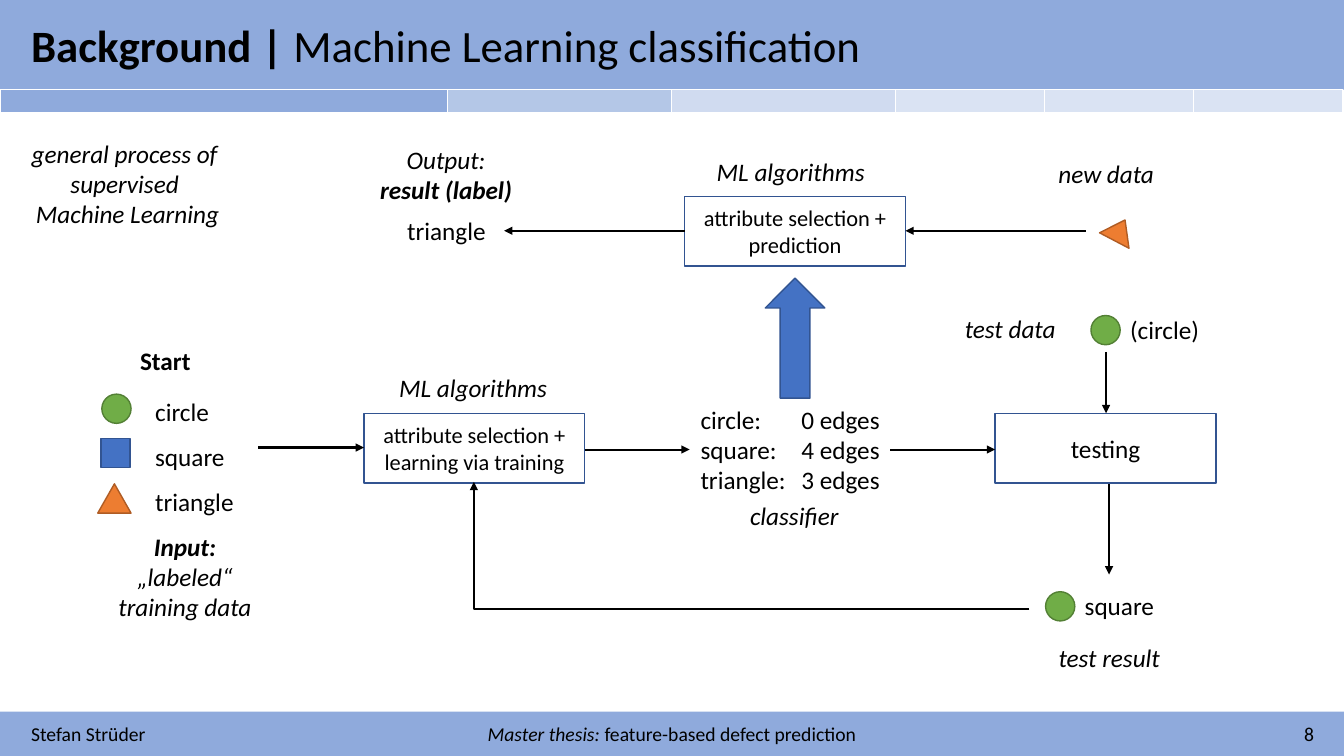
from lxml import etree
from pptx import Presentation
from pptx import util as u
from pptx.dml.color import RGBColor
from pptx.enum import shapes, text
from pptx.oxml.ns import qn

COLORS = {
    "black": "000000", "bar": "8FAADC", "mid": "B4C7E7", "light": "D0DBF0",
    "pale": "DAE3F3", "blue": "4472C4", "navy": "325491", "green": "70AD47",
    "moss": "538035", "orange": "ED7D31", "rust": "AF5C24",
}
FONT = "Calibri"
KIND = shapes.MSO_SHAPE
LEFT, MID, RIGHT = text.PP_ALIGN.LEFT, text.PP_ALIGN.CENTER, text.PP_ALIGN.RIGHT


def color(name):
    return RGBColor.from_string(COLORS[name])


def inches(*nums):
    return [u.Inches(n) for n in nums]


def style(run, size, bold=False, italic=False):
    font = run.font
    font.name, font.size = FONT, u.Pt(size)
    font.bold, font.italic = bold, italic
    font.color.rgb = color("black")


def label(slide, place, lines, size=18, align=LEFT, wrap=False, space=None):
    """Each line is a list of runs: (words, marks), marks being "b", "i" or both."""
    box = slide.shapes.add_textbox(*inches(*place))
    frame = box.text_frame
    frame.word_wrap = wrap
    frame.auto_size = text.MSO_AUTO_SIZE.SHAPE_TO_FIT_TEXT
    if wrap:
        frame.vertical_anchor = text.MSO_ANCHOR.MIDDLE
    for i, line in enumerate(lines):
        para = frame.paragraphs[0] if i == 0 else frame.add_paragraph()
        para.alignment = align
        if space:
            para.line_spacing = space
        for words, marks in line:
            run = para.add_run()
            run.text = words
            style(run, size, "b" in marks, "i" in marks)


def shape(slide, kind, place, fill=None, line=None, turn=0):
    item = slide.shapes.add_shape(kind, *inches(*place))
    item.shadow.inherit = False
    item.rotation = turn
    if fill:
        item.fill.solid()
        item.fill.fore_color.rgb = color(fill)
    else:
        item.fill.background()
    if line:
        item.line.color.rgb = color(line)
        item.line.width = u.Pt(1)
    else:
        item.line.fill.background()
    return item


def step(slide, left, top, words, size=16):
    box = shape(slide, KIND.RECTANGLE, (left, top, 2.19, 0.69), line="navy")
    frame = box.text_frame
    frame.word_wrap = True
    frame.vertical_anchor = text.MSO_ANCHOR.MIDDLE
    frame.text = words
    para = frame.paragraphs[0]
    para.alignment = MID
    style(para.runs[0], size)


def dot(slide, left, top):
    shape(slide, KIND.OVAL, (left, top, 0.29, 0.29), "green", "moss")


def arrow(slide, ends):
    link = slide.shapes.add_connector(shapes.MSO_CONNECTOR.STRAIGHT, *inches(*ends))
    link.line.color.rgb = color("black")
    link.line.width = u.Pt(1.5)
    etree.SubElement(link.line._get_or_add_ln(), qn("a:tailEnd"), type="triangle")
    etree.SubElement(link._element.spPr, qn("a:effectLst"))
    return link


def bend(slide, ends):
    """Arrow with one corner, running from bottom right to top left."""
    props = arrow(slide, ends)._element.spPr
    props.find(qn("a:prstGeom")).set("prst", "bentConnector2")
    props.find(qn("a:xfrm")).set("rot", "10800000")


def strip(slide):
    fills = ["bar", "mid", "light", "pale", "pale", "pale"]
    widths = [4.44, 2.22, 2.22, 1.48, 1.48, 1.48]
    table = slide.shapes.add_table(1, len(fills), *inches(0, 0.89, 13.33, 0.23)).table
    table.first_row = table.horz_banding = False
    table.rows[0].height = u.Inches(0.23)
    for i, (fill, width) in enumerate(zip(fills, widths)):
        table.columns[i].width = u.Inches(width)
        cell = table.cell(0, i)
        cell.margin_top = cell.margin_bottom = 0
        cell.fill.solid()
        cell.fill.fore_color.rgb = color(fill)
        cell.text_frame.paragraphs[0].font.size = u.Pt(8)


def frame_page(slide):
    shape(slide, KIND.RECTANGLE, (0, 7.06, 13.33, 0.44), "bar")
    shape(slide, KIND.RECTANGLE, (0, 0, 13.33, 0.89), "bar")
    strip(slide)
    label(slide, (0.21, 0.13, 8.52, 0.64),
          [[("Background | ", "b"), ("Machine Learning classification", "")]], 32)
    feet = [
        (0.21, 3.59, LEFT, [("Stefan Strüder", "")]),
        (4.62, 4.09, MID, [("Master thesis: ", "i"),
                           ("feature-based defect prediction", "")]),
        (9.54, 3.59, RIGHT, [("8", "")]),
    ]
    for left, width, align, runs in feet:
        label(slide, (left, 7.11, width, 0.34), [runs], 14, align, wrap=True)


def main():
    prs = Presentation()
    prs.slide_width, prs.slide_height = inches(13.33, 7.5)
    slide = prs.slides.add_slide(prs.slide_layouts[6])
    frame_page(slide)

    # Process steps
    step(slide, 3.61, 4.1, "attribute selection + learning via training")
    step(slide, 9.87, 4.1, "testing", 18)
    step(slide, 6.79, 1.95, "attribute selection + prediction")

    # Arrows between the steps
    for ends in [
        (2.56, 4.44, 3.61, 4.44), (5.8, 4.46, 6.84, 4.46),
        (8.83, 4.46, 9.87, 4.46), (11, 4.8, 11, 5.7),
        (10.97, 3.49, 10.97, 4.1), (10.77, 2.29, 8.98, 2.29),
        (6.79, 2.29, 5, 2.29),
    ]:
        arrow(slide, ends)
    bend(slide, (4.7, 4.78, 10.21, 6.04))
    shape(slide, KIND.RIGHT_ARROW, (7.29, 3.06, 1.19, 0.59), "blue", "navy", 270)

    # Data symbols
    for left, top in [(1.01, 3.91), (10.37, 5.87), (10.82, 3.13)]:
        dot(slide, left, top)
    shape(slide, KIND.RECTANGLE, (1, 4.35, 0.29, 0.29), "blue", "navy")
    shape(slide, KIND.ISOSCELES_TRIANGLE, (0.97, 4.8, 0.33, 0.29), "orange", "rust")
    shape(slide, KIND.ISOSCELES_TRIANGLE, (10.94, 2.17, 0.33, 0.23),
          "orange", "rust", 27.7)

    # One-line labels
    for left, top, width, words, marks in [
        (1.29, 3.38, 0.71, "Start", "b"),
        (7.34, 4.91, 1.09, "classifier", "i"),
        (10.66, 5.81, 0.9, "square", ""),
        (10.4, 6.32, 1.22, "test result", "i"),
        (10.4, 1.52, 1.16, "new data", "i"),
        (3.94, 2.09, 0.99, "triangle", ""),
        (3.86, 3.64, 1.69, "ML algorithms", "i"),
        (7.01, 1.5, 1.69, "ML algorithms", "i"),
        (9.47, 3.06, 1.11, "test data", "i"),
        (11.11, 3.07, 0.9, "(circle)", ""),
    ]:
        label(slide, (left, top, width, 0.4), [[(words, marks)]])

    # Labels of several lines
    label(slide, (0.21, 1.32, 2.11, 1.01),
          [[("general process of ", "i")], [("supervised ", "i")],
           [("Machine Learning", "i")]], align=MID)
    label(slide, (1.07, 5.22, 1.53, 1.01),
          [[("Input:", "bi")], [("„labeled“", "i")], [("training data", "i")]],
          align=MID)
    label(slide, (3.66, 1.38, 1.53, 0.71),
          [[("Output:", "i")], [("result (label)", "bi")]], align=MID)
    label(slide, (1.44, 3.73, 0.99, 1.42),
          [[(name, "")] for name in ("circle", "square", "triangle")], space=1.5)
    edges = {"circle": 0, "square": 4, "triangle": 3}
    label(slide, (6.85, 3.96, 2, 1.01),
          [[(f"{name}: \t{count} edges", "")] for name, count in edges.items()])

    prs.save("out.pptx")


if __name__ == "__main__":
    main()
